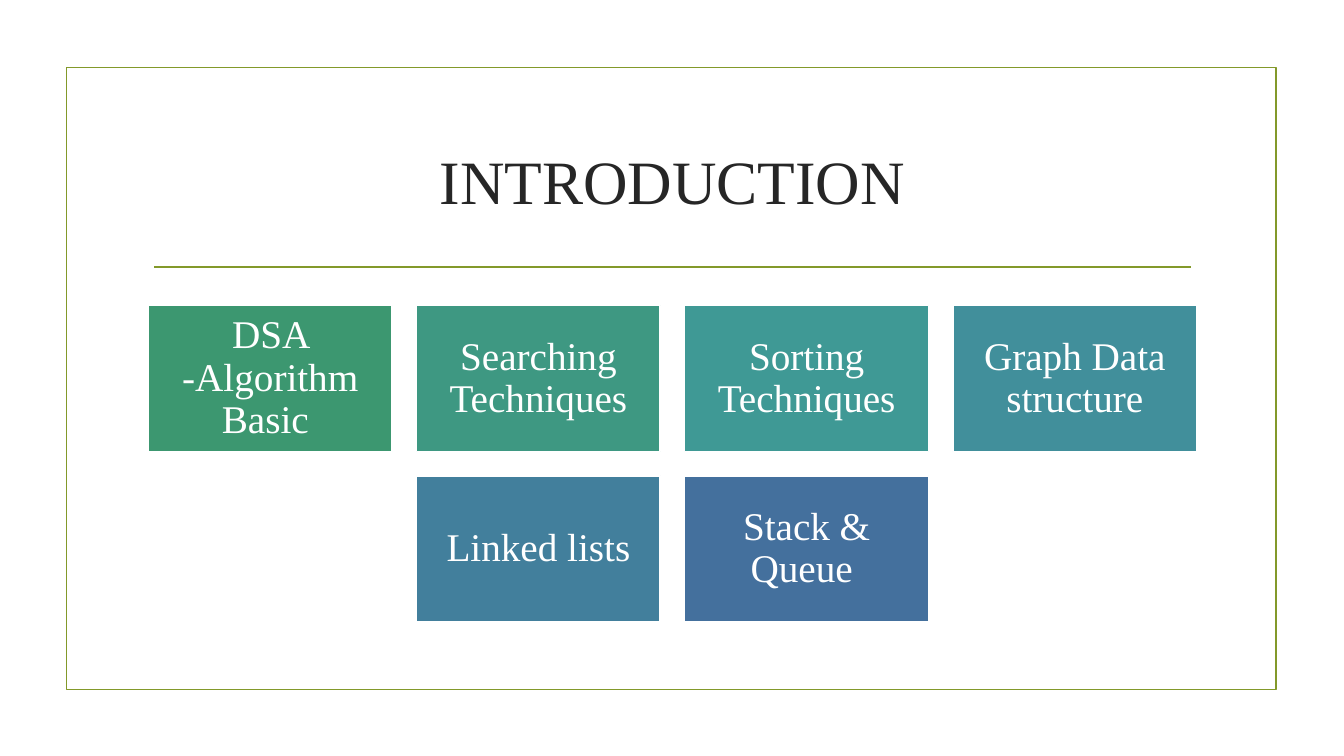
from dataclasses import dataclass

from lxml.etree import SubElement
from pptx import Presentation
from pptx.dml.color import RGBColor
from pptx.enum.shapes import MSO_CONNECTOR, MSO_SHAPE
from pptx.enum.text import MSO_ANCHOR, PP_ALIGN
from pptx.oxml.ns import qn
from pptx.util import Inches, Pt


@dataclass(frozen=True)
class Theme:
    font: str = "Times New Roman"
    title_size: float = 44
    topic_size: float = 28
    line_width: float = 1.25
    accent: str = "83992A"
    title_color: str = "262626"
    white: str = "FFFFFF"


@dataclass(frozen=True)
class Box:
    left: float
    top: float
    width: float
    height: float

    def lengths(self):
        return [Inches(v) for v in (self.left, self.top, self.width, self.height)]


THEME = Theme()
COLUMNS = 4
TOPIC_GAP = 0.24
TOPICS = [
    ("DSA -Algorithm Basic ", "3C9770"),
    ("Searching Techniques", "3E9882"),
    ("Sorting Techniques", "3F9995"),
    ("Graph Data structure", "418F9B"),
    ("Linked lists", "427F9C"),
    ("Stack & Queue ", "44709D"),
]


def style_line(line, color):
    line.color.rgb = RGBColor.from_string(color)
    line.width = Pt(THEME.line_width)


def write_centred(shape, text, size, color):
    frame = shape.text_frame
    frame.word_wrap = True
    frame.vertical_anchor = MSO_ANCHOR.MIDDLE
    para = frame.paragraphs[0]
    para.text = text
    para.alignment = PP_ALIGN.CENTER
    para.font.name = THEME.font
    para.font.size = Pt(size)
    para.font.color.rgb = RGBColor.from_string(color)
    return frame


def add_border(page, box):
    border = page.shapes.add_shape(MSO_SHAPE.RECTANGLE, *box.lengths())
    border.shadow.inherit = False
    border.fill.background()
    style_line(border.line, THEME.accent)


def add_heading(page, box, text):
    """Place the title in the box, with a rule just below it."""
    title = page.shapes.add_textbox(*box.lengths())
    write_centred(title, text, THEME.title_size, THEME.title_color)
    inset = 0.11
    rule_top = Inches(box.top + box.height + 0.15)
    rule = page.shapes.add_connector(
        MSO_CONNECTOR.STRAIGHT,
        Inches(box.left + inset), rule_top,
        Inches(box.left + box.width - inset), rule_top,
    )
    style_line(rule.line, THEME.accent)
    SubElement(rule._element.spPr, qn("a:effectLst"))


def add_topic(page, box, text, color):
    tile = page.shapes.add_shape(MSO_SHAPE.RECTANGLE, *box.lengths())
    tile.shadow.inherit = False
    tile.fill.solid()
    tile.fill.fore_color.rgb = RGBColor.from_string(color)
    style_line(tile.line, THEME.white)
    frame = write_centred(tile, text, THEME.topic_size, THEME.white)
    frame.margin_left = frame.margin_right = Inches(0.12)
    frame.margin_top = frame.margin_bottom = Inches(0.12)
    frame.paragraphs[0].line_spacing = 0.9


def add_topics(page, box):
    """Fill the box with rows of tiles, centring a row that is not full."""
    rows = [TOPICS[i:i + COLUMNS] for i in range(0, len(TOPICS), COLUMNS)]
    width = (box.width - (COLUMNS - 1) * TOPIC_GAP) / COLUMNS
    height = (box.height - (len(rows) - 1) * TOPIC_GAP) / len(rows)
    for row_index, row in enumerate(rows):
        indent = (COLUMNS - len(row)) / 2
        top = box.top + row_index * (height + TOPIC_GAP)
        for column, (text, color) in enumerate(row):
            left = box.left + (column + indent) * (width + TOPIC_GAP)
            add_topic(page, Box(left, top, width, height), text, color)


def main():
    deck = Presentation()
    deck.slide_width, deck.slide_height = Inches(13.33), Inches(7.5)
    page = deck.slides.add_slide(deck.slide_layouts[6])
    add_border(page, Box(0.66, 0.67, 12, 6.17))
    add_heading(page, Box(1.42, 1.07, 10.5, 1.43), "INTRODUCTION")
    add_topics(page, Box(1.47, 3.03, 10.4, 3.14))
    deck.save("out.pptx")


if __name__ == "__main__":
    main()
